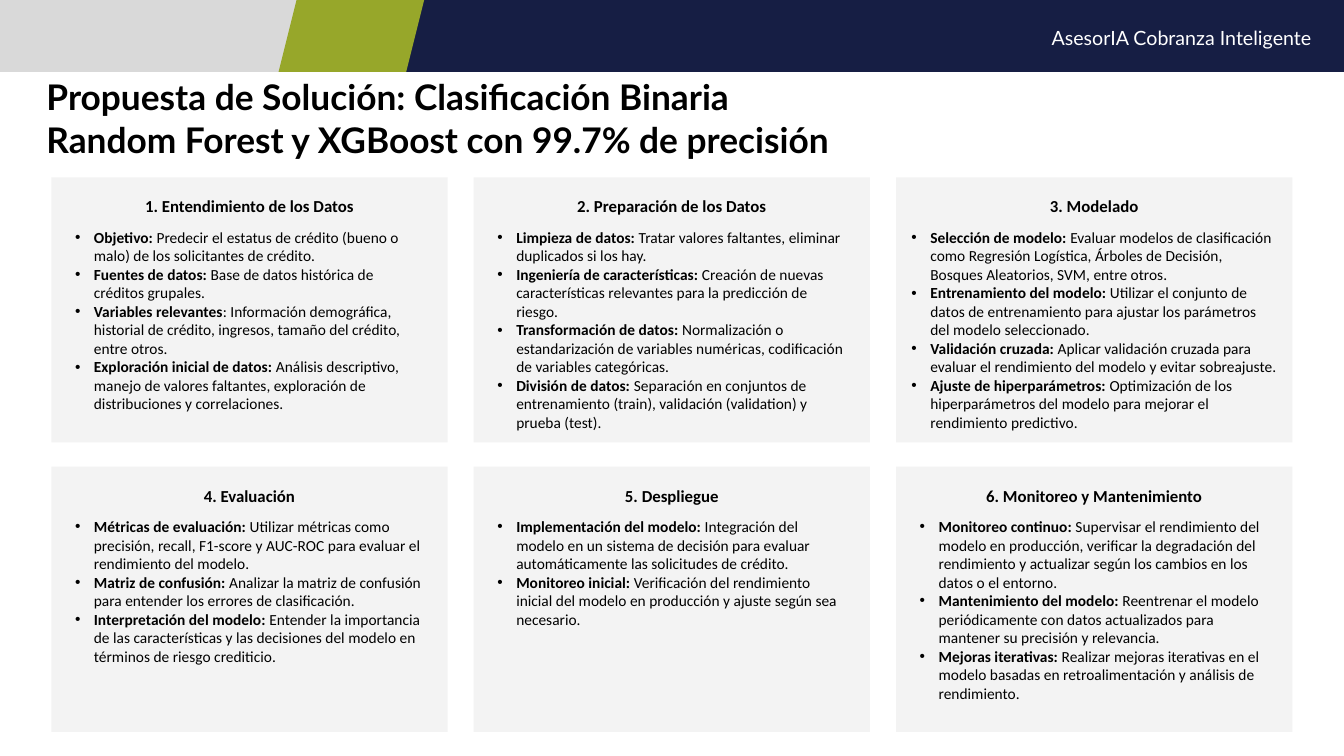
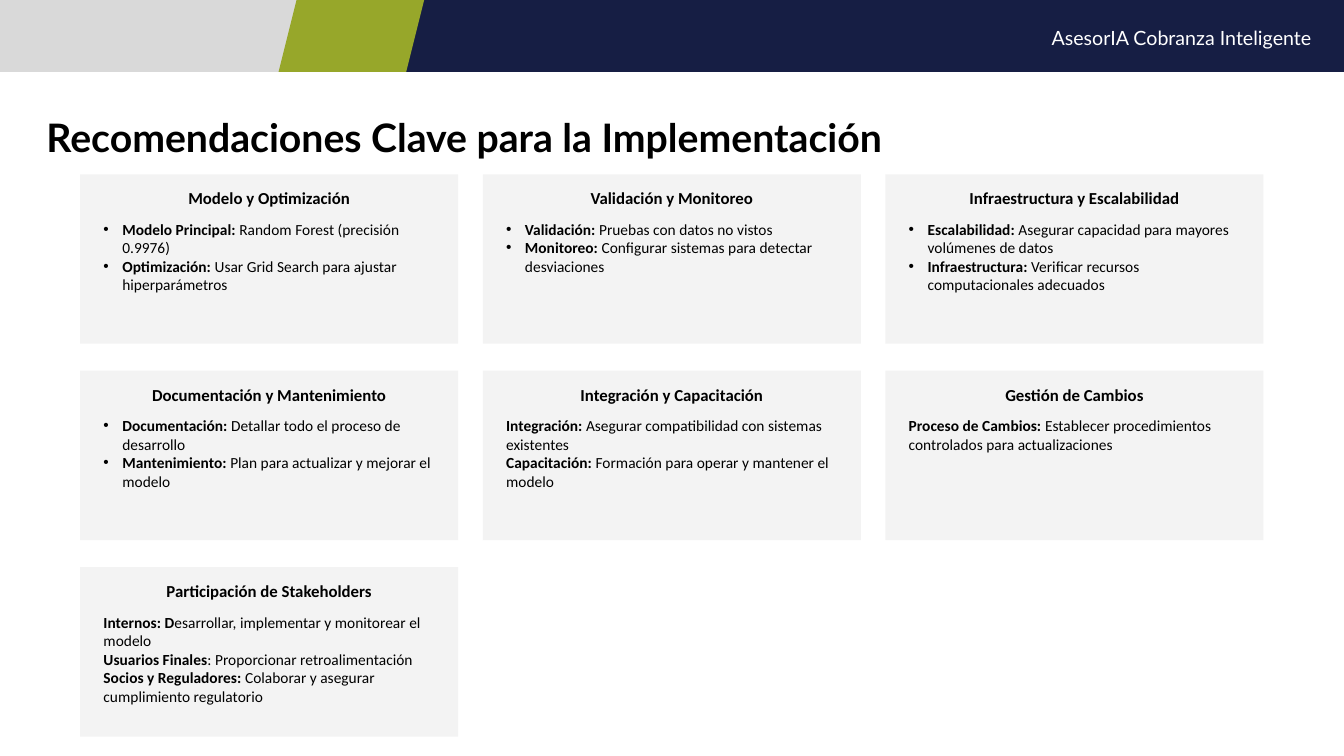
import dataclasses

import lxml.etree
import pptx
import pptx.dml.color
import pptx.enum.shapes
import pptx.enum.text
import pptx.oxml.ns
import pptx.util

Pt = pptx.util.Pt
SHAPE = pptx.enum.shapes.MSO_SHAPE
ALIGN = pptx.enum.text.PP_ALIGN
ANCHOR = pptx.enum.text.MSO_ANCHOR


# Colours, fonts and type sizes
@dataclasses.dataclass(frozen=True)
class Theme:
    navy: str = "161E44"
    green: str = "97A72A"
    grey: str = "D9D9D9"
    pale: str = "F3F3F3"
    black: str = "000000"
    white: str = "FFFFFF"
    sans: str = "Lato"
    body: str = "Calibri"
    band_size: float = 14
    head_size: float = 12
    text_size: float = 11
    indent: float = 13.5
    head_gap: float = 8.5


# Card grid, in points
@dataclasses.dataclass(frozen=True)
class Grid:
    left: float
    top: float
    width: float
    height: float
    gap_x: float
    gap_y: float
    pad_x: float
    pad_y: float
    cols: int = 3

    def place(self, index):
        row, col = divmod(index, self.cols)
        return (self.left + col * (self.width + self.gap_x),
                self.top + row * (self.height + self.gap_y),
                self.width, self.height)


@dataclasses.dataclass(frozen=True)
class Card:
    head: str
    items: tuple
    dots: bool = True
    pad_x: float = None


THEME = Theme()
STEPS_GRID = Grid(36.7, 126.7, 283, 189.4, 18.7, 17.3, 16.9, 13.3)
ADVICE_GRID = Grid(57.3, 124.5, 270, 121, 17.6, 19.3, 16.6, 9.7)

STEPS = (
    Card("1. Entendimiento de los Datos", (
        ("Objetivo: ", "Predecir el estatus de crédito (bueno o malo) de los solicitantes de crédito."),
        ("Fuentes de datos: ", "Base de datos histórica de créditos grupales."),
        ("Variables relevantes", ": Información demográfica, historial de crédito, ingresos, "
         "tamaño del crédito, entre otros."),
        ("Exploración inicial de datos: ", "Análisis descriptivo, manejo de valores faltantes, "
         "exploración de distribuciones y correlaciones."))),
    Card("2. Preparación de los Datos", (
        ("Limpieza de datos: ", "Tratar valores faltantes, eliminar duplicados si los hay."),
        ("Ingeniería de características: ", "Creación de nuevas características relevantes "
         "para la predicción de riesgo."),
        ("Transformación de datos: ", "Normalización o estandarización de variables numéricas, "
         "codificación de variables categóricas."),
        ("División de datos: ", "Separación en conjuntos de entrenamiento (train), "
         "validación (validation) y prueba (test)."))),
    Card("3. Modelado", (
        ("Selección de modelo: ", "Evaluar modelos de clasificación como Regresión Logística, "
         "Árboles de Decisión, Bosques Aleatorios, SVM, entre otros."),
        ("Entrenamiento del modelo: ", "Utilizar el conjunto de datos de entrenamiento para "
         "ajustar los parámetros del modelo seleccionado."),
        ("Validación cruzada: ", "Aplicar validación cruzada para evaluar el rendimiento "
         "del modelo y evitar sobreajuste."),
        ("Ajuste de hiperparámetros: ", "Optimización de los hiperparámetros del modelo "
         "para mejorar el rendimiento predictivo.")), pad_x=11),
    Card("4. Evaluación", (
        ("Métricas de evaluación: ", "Utilizar métricas como precisión, recall, F1-score y "
         "AUC-ROC para evaluar el rendimiento del modelo."),
        ("Matriz de confusión: ", "Analizar la matriz de confusión para entender los errores "
         "de clasificación."),
        ("Interpretación del modelo: ", "Entender la importancia de las características y las "
         "decisiones del modelo en términos de riesgo crediticio."))),
    Card("5. Despliegue", (
        ("Implementación del modelo: ", "Integración del modelo en un sistema de decisión para "
         "evaluar automáticamente las solicitudes de crédito."),
        ("Monitoreo inicial: ", "Verificación del rendimiento inicial del modelo en producción "
         "y ajuste según sea necesario."))),
    Card("6. Monitoreo y Mantenimiento", (
        ("Monitoreo continuo: ", "Supervisar el rendimiento del modelo en producción, verificar "
         "la degradación del rendimiento y actualizar según los cambios en los datos o el entorno."),
        ("Mantenimiento del modelo:", " Reentrenar el modelo periódicamente con datos "
         "actualizados para mantener su precisión y relevancia."),
        ("Mejoras iterativas: ", "Realizar mejoras iterativas en el modelo basadas en "
         "retroalimentación y análisis de rendimiento."))),
)

ADVICE = (
    Card("Modelo y Optimización", (
        ("Modelo Principal: ", "Random Forest (precisión 0.9976)"),
        ("Optimización: ", "Usar Grid Search para ajustar hiperparámetros"))),
    Card("Validación y Monitoreo", (
        ("Validación: ", "Pruebas con datos no vistos"),
        ("Monitoreo: ", "Configurar sistemas para detectar desviaciones"))),
    Card("Infraestructura y Escalabilidad", (
        ("Escalabilidad:", " Asegurar capacidad para mayores volúmenes de datos"),
        ("Infraestructura: ", "Verificar recursos computacionales adecuados"))),
    Card("Documentación y Mantenimiento", (
        ("Documentación: ", "Detallar todo el proceso de desarrollo"),
        ("Mantenimiento: ", "Plan para actualizar y mejorar el modelo"))),
    Card("Integración y Capacitación", (
        ("Integración: ", "Asegurar compatibilidad con sistemas existentes"),
        ("Capacitación: ", "Formación para operar y mantener el modelo")), dots=False),
    Card("Gestión de Cambios", (
        ("Proceso de Cambios: ", "Establecer procedimientos controlados para actualizaciones"),),
         dots=False),
    Card("Participación de Stakeholders", (
        ("Internos: D", "esarrollar, implementar y monitorear el modelo"),
        ("Usuarios Finales", ": Proporcionar retroalimentación"),
        ("Socios y Reguladores: ", "Colaborar y asegurar cumplimiento regulatorio")), dots=False),
)


# Basic elements
def style(run, font, size, color, bold=False):
    run.font.name = font
    run.font.size = Pt(size)
    run.font.bold = bold
    run.font.color.rgb = pptx.dml.color.RGBColor.from_string(color)


def add_block(slide, kind, box, color):
    block = slide.shapes.add_shape(kind, *map(Pt, box))
    block.shadow.inherit = False
    block.fill.solid()
    block.fill.fore_color.rgb = pptx.dml.color.RGBColor.from_string(color)
    block.line.fill.background()
    return block


def set_pad(frame, pad_x, pad_y):
    frame.margin_left = frame.margin_right = Pt(pad_x)
    frame.margin_top = frame.margin_bottom = Pt(pad_y)


def add_label(slide, box, text):
    frame = slide.shapes.add_textbox(*map(Pt, box)).text_frame
    frame.word_wrap = True
    set_pad(frame, 7.2, 7.2)
    frame.text = text
    para = frame.paragraphs[0]
    para.alignment = ALIGN.RIGHT
    para.line_spacing = 1.15
    style(para.runs[0], THEME.sans, THEME.band_size, THEME.white)


def add_dot(para):
    props = para._p.get_or_add_pPr()
    props.set("marL", str(Pt(THEME.indent)))
    props.set("indent", str(-Pt(THEME.indent)))
    for tag, key, value in (("a:buFont", "typeface", "Arial"), ("a:buChar", "char", "•")):
        lxml.etree.SubElement(props, pptx.oxml.ns.qn(tag)).set(key, value)


# Header band
def add_band(slide):
    add_block(slide, SHAPE.RECTANGLE, (272, 0, 688, 51.3), THEME.navy)
    add_block(slide, SHAPE.RECTANGLE, (0, 0, 227, 51.3), THEME.grey)
    slant = add_block(slide, SHAPE.PARALLELOGRAM, (199, 0, 104, 51.3), THEME.green)
    slant.adjustments[0] = 0.25
    add_label(slide, (274, 8.6, 670, 48), "AsesorIA Cobranza Inteligente")


def set_title(slide, text, size):
    title = slide.shapes.title
    title.left, title.top, title.width, title.height = map(Pt, (26, 44.6, 898, 73.5))
    frame = title.text_frame
    frame.auto_size = pptx.enum.text.MSO_AUTO_SIZE.NONE
    frame.word_wrap = True
    frame.vertical_anchor = ANCHOR.BOTTOM
    set_pad(frame, 7.2, 3.6)
    frame.text = text
    for para in frame.paragraphs:
        para.alignment = ALIGN.LEFT
        para.line_spacing = 1.0
        style(para.runs[0], THEME.sans, size, THEME.black, True)


# Cards
def add_item(frame, label, text, dots):
    para = frame.add_paragraph()
    para.alignment = ALIGN.LEFT
    para.text = label
    para.add_run().text = text
    for run, bold in zip(para.runs, (True, False)):
        style(run, THEME.body, THEME.text_size, THEME.black, bold)
    if dots:
        add_dot(para)


def add_card(slide, box, card, grid):
    frame = add_block(slide, SHAPE.RECTANGLE, box, THEME.pale).text_frame
    frame.word_wrap = True
    frame.vertical_anchor = ANCHOR.TOP
    set_pad(frame, card.pad_x or grid.pad_x, grid.pad_y)
    frame.margin_bottom = 0
    frame.text = card.head
    head = frame.paragraphs[0]
    head.alignment = ALIGN.CENTER
    head.space_after = Pt(THEME.head_gap)
    style(head.runs[0], THEME.body, THEME.head_size, THEME.black, True)
    for label, text in card.items:
        add_item(frame, label, text, card.dots)


def add_page(deck, title, size, cards, grid):
    slide = deck.slides.add_slide(deck.slide_layouts.get_by_name("Title Only"))
    add_band(slide)
    set_title(slide, title, size)
    for index, card in enumerate(cards):
        add_card(slide, grid.place(index), card, grid)


def main():
    deck = pptx.Presentation()
    deck.slide_width, deck.slide_height = Pt(960), Pt(540)
    add_page(deck, "Propuesta de Solución: Clasificación Binaria\n"
             "Random Forest y XGBoost con 99.7% de precisión", 25.2, STEPS, STEPS_GRID)
    add_page(deck, "Recomendaciones Clave para la Implementación", 28, ADVICE, ADVICE_GRID)
    deck.save("out.pptx")


if __name__ == "__main__":
    main()
